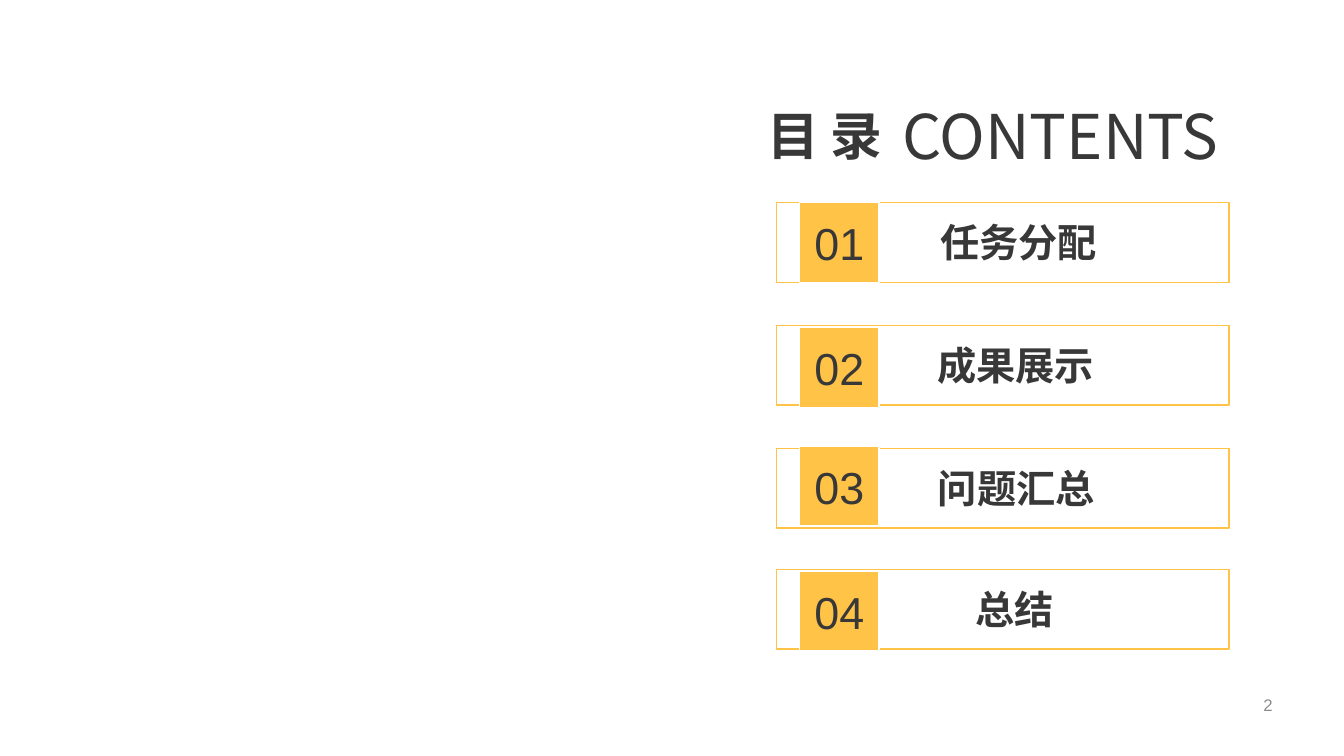
import pptx
import pptx.util
import pptx.dml.color
import pptx.enum.shapes
import pptx.enum.text
import pptx.oxml.ns
import lxml.etree

Inches = pptx.util.Inches
ALIGN = pptx.enum.text.PP_ALIGN
ANCHOR = pptx.enum.text.MSO_ANCHOR

COLORS = {"text": "383838", "accent": "FFC347", "white": "FFFFFF", "muted": "8C8C8C"}
CJK_FONT = "Noto Sans CJK SC"
NUMBER_FONT = "Arial"

# text, box (left, top, width, height), size, bold
HEADINGS = [
    ("目 录", (7.48, 0.96, 1.47, 0.76), 37, True),
    ("CONTENTS", (8.82, 0.9, 3.58, 0.88), 44, False),
]
# title, row top, number's shift from the row top, title centre, title width
CHAPTERS = [
    ("任务分配", 2.01, 0, 10.1, 1.84),
    ("成果展示", 3.23, 0.02, 10.07, 1.84),
    ("问题汇总", 4.45, -0.02, 10.08, 1.84),
    ("总结", 5.65, 0.02, 10.06, 1.05),
]
PAGE_NUMBER = ("2", (9.72, 6.79, 3, 0.4))

FRAME_LEFT, FRAME_WIDTH, ROW_HEIGHT = 7.7, 4.49, 0.79
NUMBER_LEFT = 7.93
TITLE_HEIGHT = 0.61


def color(name):
    return pptx.dml.color.RGBColor.from_string(COLORS[name])


def write(shape, text, size, font_name, align, color_name="text", bold=False):
    paragraph = shape.text_frame.paragraphs[0]
    paragraph.text = text
    paragraph.alignment = align
    font = paragraph.font
    font.size = pptx.util.Pt(size)
    font.name = font_name
    font.bold = bold
    font.color.rgb = color(color_name)
    # East Asian characters take their typeface from a separate element
    defaults = paragraph._p.pPr.find(pptx.oxml.ns.qn("a:defRPr"))
    east_asian = lxml.etree.SubElement(defaults, pptx.oxml.ns.qn("a:ea"))
    east_asian.set("typeface", font_name)


def add_label(slide, text, box, size, align, bold):
    """Add an unwrapped text box in the CJK font."""
    label = slide.shapes.add_textbox(*map(Inches, box))
    frame = label.text_frame
    frame.word_wrap = False
    frame.margin_left = frame.margin_right = Inches(0.13)
    frame.margin_top = frame.margin_bottom = Inches(0.07)
    write(label, text, size, CJK_FONT, align, bold=bold)


def add_rectangle(slide, box, line, fill=None):
    shape = slide.shapes.add_shape(
        pptx.enum.shapes.MSO_SHAPE.RECTANGLE, *map(Inches, box))
    shape.shadow.inherit = False
    shape.line.color.rgb = color(line)
    shape.line.width = pptx.util.Pt(1)
    if fill:
        shape.fill.solid()
        shape.fill.fore_color.rgb = color(fill)
    else:
        shape.fill.background()
    return shape


def add_chapter(slide, number, title, top, shift, center, width):
    add_rectangle(slide, (FRAME_LEFT, top, FRAME_WIDTH, ROW_HEIGHT), "accent")
    square = add_rectangle(
        slide, (NUMBER_LEFT, top + shift, ROW_HEIGHT, ROW_HEIGHT), "white", "accent")
    square.text_frame.vertical_anchor = ANCHOR.MIDDLE
    write(square, f"{number:02d}", 32, NUMBER_FONT, ALIGN.CENTER)
    title_top = top + (ROW_HEIGHT - TITLE_HEIGHT) / 2
    add_label(slide, title, (center - width / 2, title_top, width, TITLE_HEIGHT),
              28, ALIGN.CENTER, True)


def main():
    presentation = pptx.Presentation()
    presentation.slide_width = Inches(13.33)
    presentation.slide_height = Inches(7.5)
    slide = presentation.slides.add_slide(presentation.slide_layouts[6])

    for text, box, size, bold in HEADINGS:
        add_label(slide, text, box, size, ALIGN.LEFT, bold)
    for number, chapter in enumerate(CHAPTERS, start=1):
        add_chapter(slide, number, *chapter)

    text, box = PAGE_NUMBER
    page_number = slide.shapes.add_textbox(*map(Inches, box))
    page_number.text_frame.word_wrap = True
    page_number.text_frame.vertical_anchor = ANCHOR.MIDDLE
    write(page_number, text, 12, NUMBER_FONT, ALIGN.RIGHT, "muted")

    presentation.save("out.pptx")


if __name__ == "__main__":
    main()
